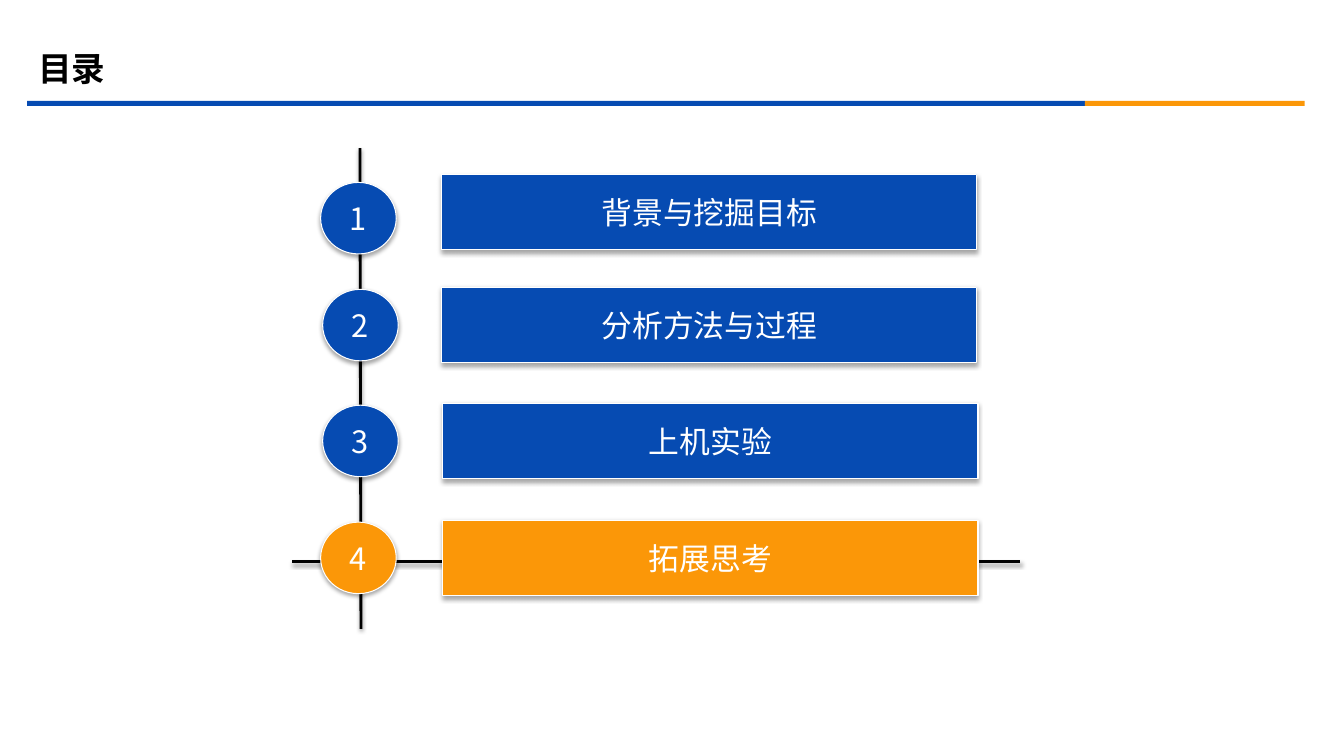
from dataclasses import dataclass

from lxml.etree import SubElement
from pptx import Presentation
from pptx.dml.color import RGBColor
from pptx.enum.shapes import MSO_CONNECTOR, MSO_SHAPE as Preset
from pptx.enum.text import MSO_ANCHOR, MSO_AUTO_SIZE, PP_ALIGN as Align
from pptx.oxml.ns import qn
from pptx.util import Inches, Pt

FONT = "Noto Sans CJK SC"
BLUE, ORANGE, BLACK, WHITE = "064BB2", "FB9708", "000000", "FFFFFF"


@dataclass
class Chapter:
    title: str
    badge_left: float
    badge_top: float
    bar_left: float
    bar_top: float
    color: str = BLUE


CHAPTERS = [
    Chapter("背景与挖掘目标", 3.18, 1.81, 4.38, 1.73),
    Chapter("分析方法与过程", 3.2, 2.87, 4.38, 2.85),
    Chapter("上机实验", 3.2, 4.02, 4.39, 4),
    Chapter("拓展思考", 3.18, 5.18, 4.39, 5.16, ORANGE),
]


def paint(color_holder, color: str) -> None:
    """Make a fill solid in the given hex colour."""
    color_holder.solid()
    color_holder.fore_color.rgb = RGBColor.from_string(color)


def write(shape, text: str, *, size: float, color: str, align: Align,
          bold: bool = False, wrap: bool = False) -> None:
    frame = shape.text_frame
    frame.auto_size = MSO_AUTO_SIZE.NONE
    frame.word_wrap = wrap
    frame.vertical_anchor = MSO_ANCHOR.MIDDLE
    paragraph = frame.paragraphs[0]
    paragraph.alignment = align
    run = paragraph.add_run()
    run.text = text
    run.font.size, run.font.bold, run.font.name = Pt(size), bold, FONT
    paint(run.font.fill, color)
    SubElement(run.font._element, qn("a:ea"), typeface=FONT)


def cast_shadow(shape, distance: float, opacity: int) -> None:
    """Add a soft black shadow below; call it once fill and line are set."""
    effects = SubElement(shape._element.spPr, qn("a:effectLst"))
    shadow = SubElement(effects, qn("a:outerShdw"), blurRad=str(Pt(3.1)),
                        dist=str(Pt(distance)), dir="5400000", rotWithShape="0")
    black = SubElement(shadow, qn("a:srgbClr"), val=BLACK)
    SubElement(black, qn("a:alpha"), val=str(opacity * 1000))


def add_rule(slide, left: float, width: float, color: str) -> None:
    rule = slide.shapes.add_shape(
        Preset.RECTANGLE, Inches(left), Inches(1), Inches(width), Inches(0.05))
    paint(rule.fill, color)
    rule.line.fill.background()
    rule.shadow.inherit = False


def add_axis(slide, *ends: float) -> None:
    axis = slide.shapes.add_connector(
        MSO_CONNECTOR.STRAIGHT, *(Inches(end) for end in ends))
    paint(axis.line.fill, BLACK)
    axis.line.width = Pt(2)
    cast_shadow(axis, distance=1.6, opacity=38)


def add_label(slide, preset: Preset, left: float, top: float, width: float,
              height: float, text: str, color: str) -> None:
    label = slide.shapes.add_shape(
        preset, Inches(left), Inches(top), Inches(width), Inches(height))
    paint(label.fill, color)
    paint(label.line.fill, WHITE)
    label.line.width = Pt(0.75)
    cast_shadow(label, distance=1.8, opacity=35)
    write(label, text, size=22, color=WHITE, align=Align.CENTER)


def main() -> None:
    deck = Presentation()
    deck.slide_width, deck.slide_height = Inches(13.33), Inches(7.5)
    slide = deck.slides.add_slide(deck.slide_layouts[5])

    heading = slide.shapes.title
    heading.left, heading.top = Inches(0.28), Inches(0.39)
    heading.width, heading.height = Inches(12), Inches(0.58)
    write(heading, "目录", size=24, color=BLACK, align=Align.LEFT,
          bold=True, wrap=True)

    add_rule(slide, 0.27, 10.49, BLUE)
    add_rule(slide, 10.76, 2.18, ORANGE)
    add_axis(slide, 3.57, 1.47, 3.58, 6.24)
    add_axis(slide, 2.9, 5.57, 10.12, 5.57)

    for number, chapter in enumerate(CHAPTERS, start=1):
        add_label(slide, Preset.OVAL, chapter.badge_left, chapter.badge_top,
                  0.75, 0.71, str(number), chapter.color)
        add_label(slide, Preset.ACTION_BUTTON_CUSTOM, chapter.bar_left,
                  chapter.bar_top, 5.31, 0.75, chapter.title, chapter.color)

    deck.save("out.pptx")


if __name__ == "__main__":
    main()
